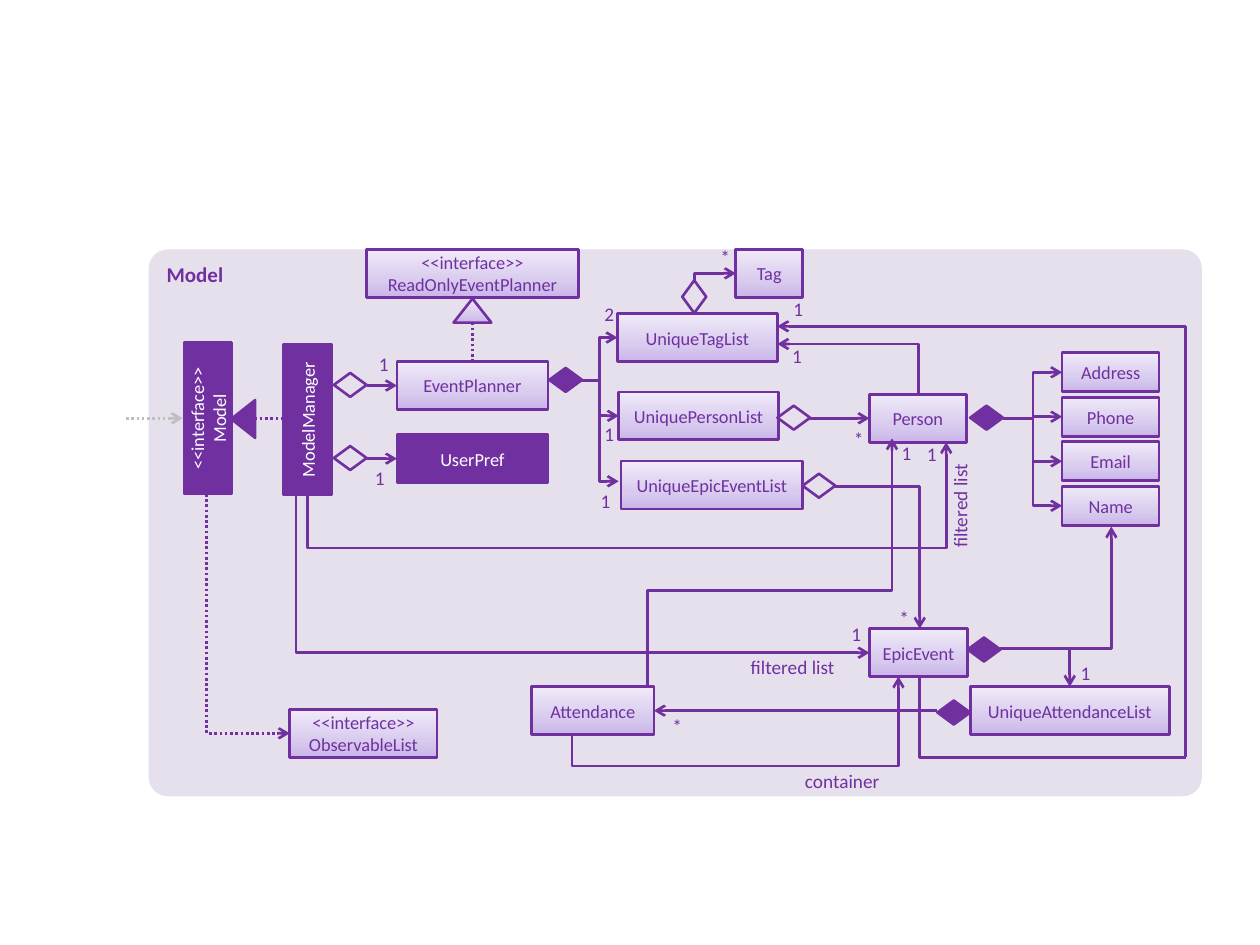
from copy import deepcopy

from pptx import Presentation
from pptx.dml.color import RGBColor
from pptx.enum import dml, shapes, text
from pptx.oxml.ns import qn
from pptx.util import Inches, Pt

PURPLE, WHITE, GREY, PANEL = "7030A0", "FFFFFF", "BFBFBF", "E6E0EC"
GRADIENT = [(0, "C9B5E8"), (0.35, "D8CBEE"), (1, "F0EAF9")]
FONT = "Calibri"
BOX_H, DIAMOND_W, DIAMOND_H = 0.38, 0.26, 0.19

# Classes: text, left, top, width
CLASSES = [
    ("<<interface>>\vReadOnlyEventPlanner", 2.91, 1.98, 1.68),
    ("EventPlanner", 3.15, 2.87, 1.2),
    ("Tag", 5.84, 1.98, 0.53),
    ("UniqueTagList", 4.9, 2.49, 1.27),
    ("UniquePersonList", 4.91, 3.11, 1.27),
    ("UniqueEpicEventList", 4.93, 3.66, 1.44),
    ("Person", 6.9, 3.13, 0.77),
    ("EpicEvent", 6.9, 4.99, 0.78),
    ("Attendance", 4.22, 5.45, 0.97),
    ("UniqueAttendanceList", 7.7, 5.45, 1.58),
    ("<<interface>>\vObservableList", 2.3, 5.63, 1.17),
]
# Solid classes: text, left, top, rotation
SOLID_CLASSES = [
    ("UserPref", 3.15, 3.45, 0),
    ("ModelManager", 1.84, 3.14, 270),
    ("<<interface>>\nModel", 1.05, 3.13, 270),
]
PERSON_FIELDS = ["Address", "Phone", "Email", "Name"]
FIELD_LEFT, FIELD_TOP, FIELD_W, FIELD_H, FIELD_STEP = 8.43, 2.8, 0.77, 0.31, 0.353

# Diamonds: left, top, rotation
AGGREGATIONS = [(2.65, 2.96, 0), (2.65, 3.54, 0), (6.17, 3.22, 0),
                (6.37, 3.76, 0), (5.38, 2.26, 270)]
COMPOSITIONS = [(4.36, 2.92, 0), (7.7, 3.22, 0), (7.68, 5.06, 0), (7.44, 5.56, 0)]

# Straight lines: start, end, colour, dotted, arrow
STRAIGHT = [
    ((2.91, 3.06), (3.15, 3.06), PURPLE, False, True),
    ((2.91, 3.64), (3.15, 3.64), PURPLE, False, True),
    ((6.43, 3.32), (6.9, 3.32), PURPLE, False, True),
    ((7.44, 5.64), (5.19, 5.64), PURPLE, False, True),
    ((1, 3.32), (1.45, 3.32), GREY, True, True),
    ((2.02, 3.32), (2.26, 3.32), PURPLE, True, False),
    ((3.75, 2.56), (3.75, 2.88), PURPLE, True, False),
]
# Bent lines: start, end, first direction, middle segment's x or y
# (None where there is a single corner), dotted, arrow
BENT = [
    ((4.62, 3.02), (4.9, 2.68), "h", 4.76, False, True),
    ((4.62, 3.02), (4.91, 3.3), "h", 4.76, False, True),
    ((4.76, 3.25), (4.91, 3.82), "v", 3.82, False, True),
    ((5.51, 2.23), (5.84, 2.17), "v", None, False, True),
    ((7.29, 3.13), (6.17, 2.73), "v", None, False, True),
    ((2.44, 3.92), (7.51, 3.51), "v", 4.35, False, True),
    ((2.35, 3.93), (6.9, 5.18), "v", None, False, True),
    ((1.64, 3.92), (2.3, 5.82), "v", None, True, True),
    ((6.63, 3.86), (7.3, 4.99), "h", None, False, True),
    ((7.94, 5.15), (8.82, 4.18), "h", None, False, True),
    ((7.94, 5.15), (8.49, 5.45), "h", None, False, True),
    ((5.14, 5.45), (7.08, 3.48), "v", 4.69, False, True),
    ((4.54, 5.83), (7.13, 5.37), "v", 6.08, False, True),
    ((7.3, 5.37), (9.41, 6.01), "v", None, False, False),
    ((9.41, 6.01), (6.17, 2.59), "v", None, False, True),
]
BENT += [((7.96, 3.32), (FIELD_LEFT, FIELD_TOP + FIELD_H / 2 + i * FIELD_STEP),
          "h", 8.2, False, True) for i in range(len(PERSON_FIELDS))]

MULTIPLICITIES = {
    "1": [(4.73, 3.35), (6.22, 2.73), (2.94, 2.8), (2.91, 3.7), (7.29, 3.51), (4.7, 3.88),
          (6.69, 4.94), (6.23, 2.36), (7.09, 3.5), (8.51, 5.25)],
    "2": [(4.73, 2.4)],
    "*": [(5.65, 1.95), (6.71, 3.39), (7.07, 4.81), (5.27, 5.67)],
}
# Role names: text, left, top, width, rotation
ROLES = [("filtered list", 7.14, 3.92, 0.96, 270),
         ("filtered list", 5.86, 5.15, 0.88, 0),
         ("container", 6.29, 6.06, 0.8, 0)]

LEFT, CENTER, RIGHT = text.PP_ALIGN.LEFT, text.PP_ALIGN.CENTER, text.PP_ALIGN.RIGHT
KIND = shapes.MSO_SHAPE

deck = Presentation()
deck.slide_width, deck.slide_height = Inches(10), Inches(7.5)
slide = deck.slides.add_slide(deck.slide_layouts[6])


def rgb(value):
    return RGBColor.from_string(value)


def write(shape, words, size, color, align=CENTER, bold=False, inset=0.0):
    frame = shape.text_frame
    frame.text = words
    frame.word_wrap = True
    frame.margin_left = frame.margin_right = Inches(inset)
    frame.margin_top = frame.margin_bottom = Inches(inset / 2)
    for paragraph in frame.paragraphs:
        paragraph.alignment = align
        for run in paragraph.runs:
            font = run.font
            font.name, font.size, font.bold = FONT, Pt(size), bold
            font.color.rgb = rgb(color)


def add_part(kind, left, top, width, height, fill=None, line=PURPLE, rotation=0):
    part = slide.shapes.add_shape(kind, *map(Inches, (left, top, width, height)))
    part.shadow.inherit = False
    part.rotation = rotation
    if fill is GRADIENT:
        part.fill.gradient()
        part.fill.gradient_angle = 90
        first = part.fill.gradient_stops[0]._gs
        first.addnext(deepcopy(first))
        for stop, (position, color) in zip(part.fill.gradient_stops, GRADIENT):
            stop.position, stop.color.rgb = position, rgb(color)
    elif fill:
        part.fill.solid()
        part.fill.fore_color.rgb = rgb(fill)
    else:
        part.fill.background()
    if line:
        part.line.color.rgb, part.line.width = rgb(line), Pt(1.5)
    else:
        part.line.fill.background()
    return part


def add_line(kind, start, end, color, dotted, arrow):
    line = slide.shapes.add_connector(kind, *map(Inches, (*start, *end)))
    line.line.color.rgb, line.line.width = rgb(color), Pt(1.5)
    if dotted:
        line.line.dash_style = dml.MSO_LINE.ROUND_DOT
    properties = line._element.spPr
    if arrow:
        outline = line.line._get_or_add_ln()
        outline.append(outline.makeelement(qn("a:tailEnd"), {"type": "arrow"}))
    properties.append(properties.makeelement(qn("a:effectLst"), {}))
    return properties


def add_bent(start, end, direction, middle, dotted, arrow):
    (x1, y1), (x2, y2) = start, end
    dx, dy = x2 - x1, y2 - y1
    begin, finish, ratio = start, end, dx and ((middle or 0) - x1) / dx
    if direction == "v":  # the preset starts sideways, so turn it by 90 degrees
        cx, cy = (x1 + x2) / 2, (y1 + y2) / 2
        begin, finish = (cx - dy / 2, cy + dx / 2), (cx + dy / 2, cy - dx / 2)
        ratio = ((middle or 0) - y1) / dy
    properties = add_line(shapes.MSO_CONNECTOR.ELBOW, begin, finish, PURPLE, dotted, arrow)
    if direction == "v":
        properties.find(qn("a:xfrm")).set("rot", str(90 * 60000))
    preset = properties.find(qn("a:prstGeom"))
    if middle is None:
        preset.set("prst", "bentConnector2")
    else:
        guides = preset.find(qn("a:avLst"))
        guides.append(guides.makeelement(
            qn("a:gd"), {"name": "adj1", "fmla": f"val {round(ratio * 100000)}"}))


def add_label(words, left, top, width, height, align=CENTER, rotation=0, inset=0.0):
    label = slide.shapes.add_textbox(*map(Inches, (left, top, width, height)))
    label.rotation = rotation
    write(label, words, 11, PURPLE, align, inset=inset)


# Package panel
panel = add_part(KIND.ROUNDED_RECTANGLE, 1.18, 1.98, 8.36, 4.34, PANEL, None)
panel.adjustments[0] = 0.035
panel.text_frame.vertical_anchor = text.MSO_ANCHOR.TOP
write(panel, "Model", 12, PURPLE, LEFT, True, 0.1)

# Class boxes
for name, left, top, rotation in SOLID_CLASSES:
    write(add_part(KIND.RECTANGLE, left, top, 1.2, BOX_H, PURPLE, rotation=rotation),
          name, 10.5, WHITE)
boxes = [(*entry, BOX_H) for entry in CLASSES]
boxes += [(name, FIELD_LEFT, FIELD_TOP + i * FIELD_STEP, FIELD_W, FIELD_H)
          for i, name in enumerate(PERSON_FIELDS)]
for name, *place in boxes:
    write(add_part(KIND.RECTANGLE, *place, GRADIENT), name, 10.5, PURPLE)

# Inheritance triangles and diamonds
add_part(KIND.ISOSCELES_TRIANGLE, 1.78, 3.23, 0.3, 0.19, PURPLE, rotation=270)
add_part(KIND.ISOSCELES_TRIANGLE, 3.6, 2.37, 0.3, 0.19, GRADIENT)
for diamonds, fill in ((AGGREGATIONS, None), (COMPOSITIONS, PURPLE)):
    for left, top, rotation in diamonds:
        add_part(KIND.FLOWCHART_DECISION, left, top, DIAMOND_W, DIAMOND_H, fill,
                 rotation=rotation)

# Relations
for relation in STRAIGHT:
    add_line(shapes.MSO_CONNECTOR.STRAIGHT, *relation)
for relation in BENT:
    add_bent(*relation)

# Labels
for sign, places in MULTIPLICITIES.items():
    for left, top in places:
        add_label(sign, left, top, 0.21, 0.2)
for role, left, top, width, rotation in ROLES:
    add_label(role, left, top, width, 0.29, RIGHT if rotation else LEFT, rotation, 0.1)

deck.save("out.pptx")
